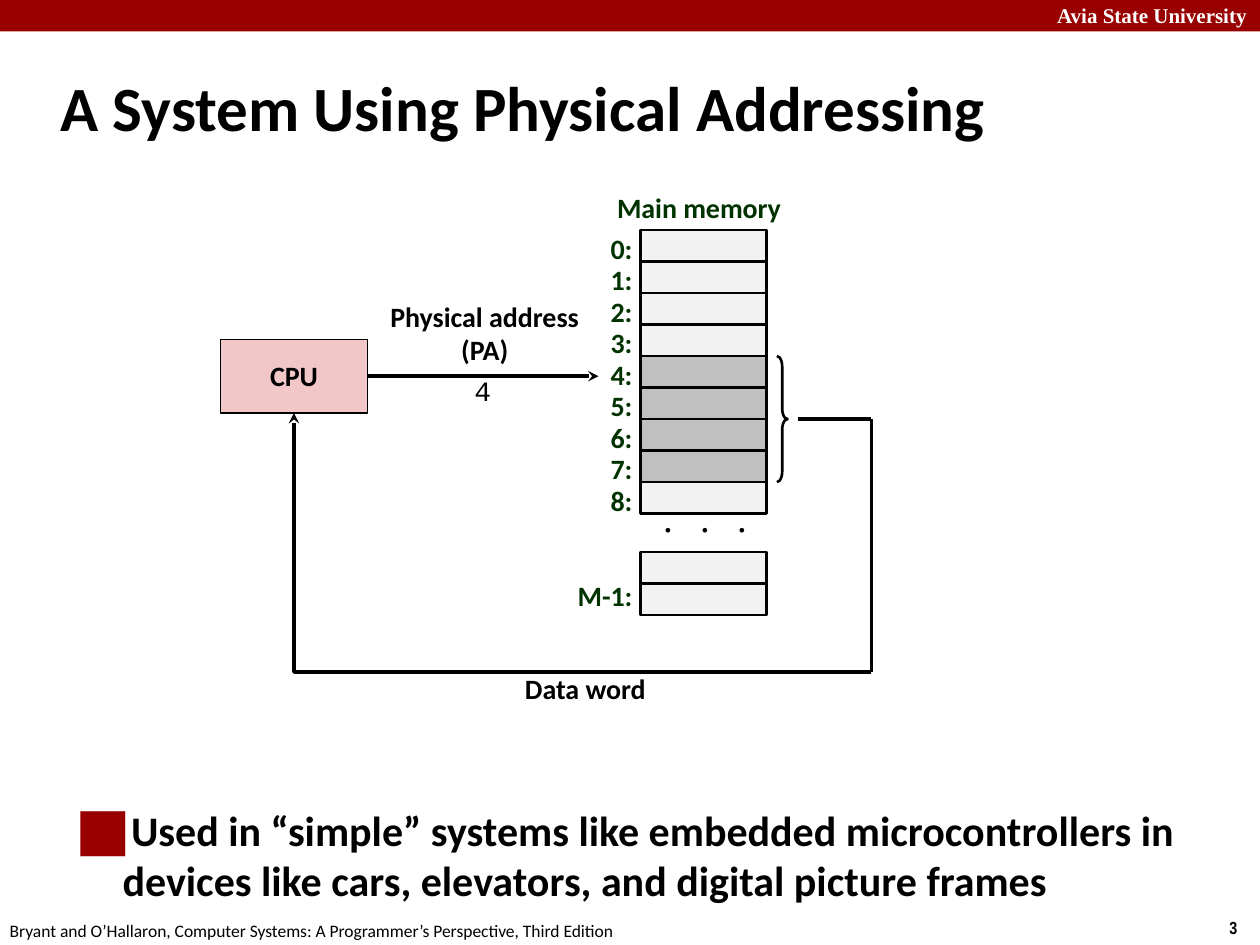
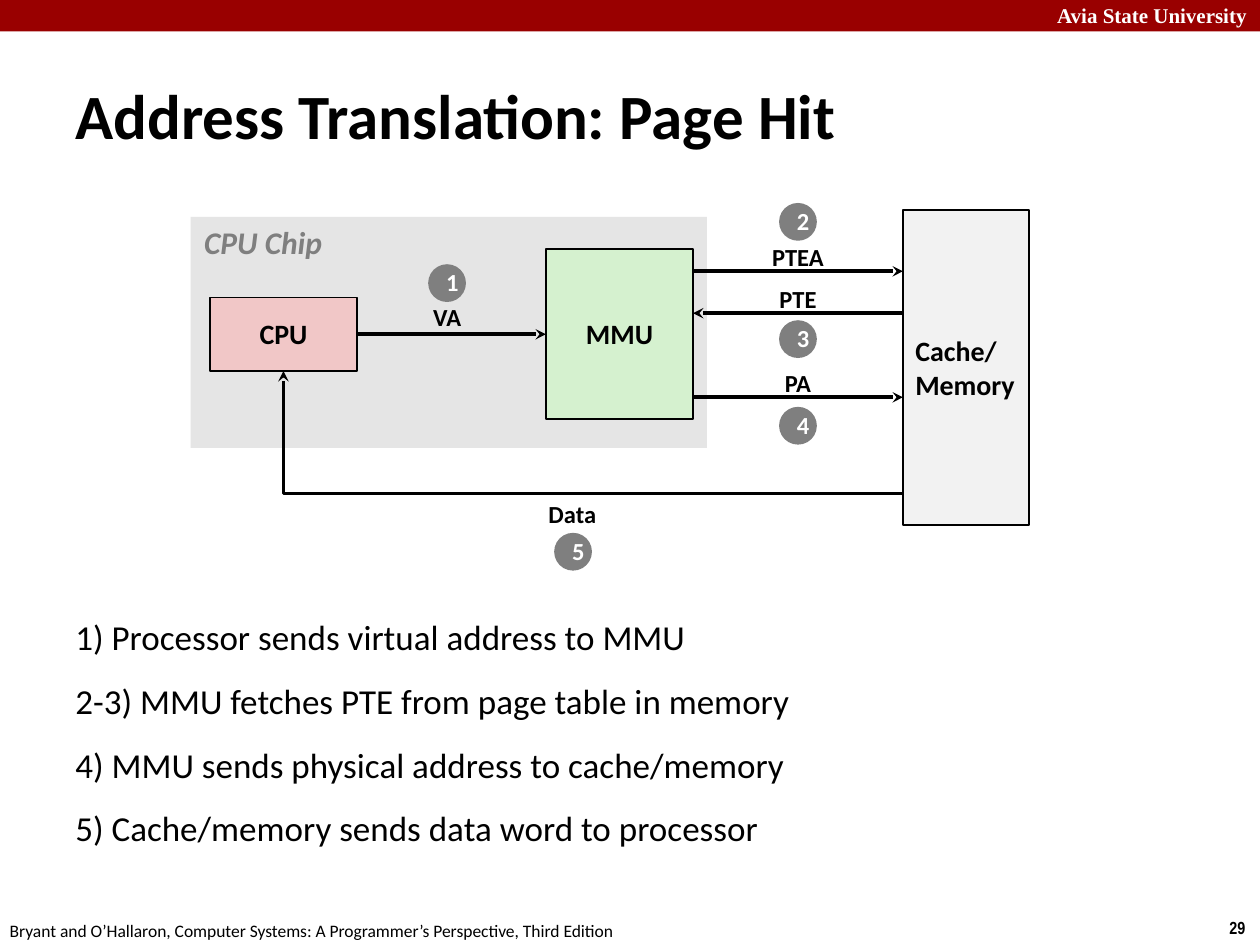
"""Build two slides on physical addressing and address translation."""
from dataclasses import dataclass

from lxml import etree
from pptx import Presentation
from pptx.dml.color import RGBColor
from pptx.enum.shapes import MSO_CONNECTOR, MSO_SHAPE
from pptx.enum.text import MSO_ANCHOR, PP_ALIGN
from pptx.oxml.ns import qn
from pptx.util import Pt

LEFT, CENTER, RIGHT = PP_ALIGN.LEFT, PP_ALIGN.CENTER, PP_ALIGN.RIGHT
TOP, MIDDLE = MSO_ANCHOR.TOP, MSO_ANCHOR.MIDDLE
RECTANGLE, OVAL, BRACE = MSO_SHAPE.RECTANGLE, MSO_SHAPE.OVAL, MSO_SHAPE.RIGHT_BRACE
STRAIGHT = MSO_CONNECTOR.STRAIGHT
BOTTOM_LEFT_TURN = "bentConnector2"


@dataclass(frozen=True)
class Theme:
    font: str = "Calibri"
    serif: str = "Times New Roman"
    narrow: str = "Arial Narrow"
    mono: str = "Courier New"
    black: str = "000000"
    white: str = "FFFFFF"
    red: str = "990000"
    green: str = "003300"
    gray: str = "7F7F7F"
    chip: str = "E5E5E5"
    cpu: str = "F1C7C7"
    mmu: str = "D5F1CF"
    cell: str = "F2F2F2"
    word: str = "C0C0C0"
    title: int = 36
    body: int = 24
    steps: int = 20
    chip_name: int = 18
    label: int = 16
    signal: int = 14
    header: int = 12
    footer: int = 10
    line: float = 2
    border: float = 1.5
    thin: float = 1
    tight: float = 0.88
    close: float = 0.98


THEME = Theme()


def write(shape, text, size=THEME.label, color=THEME.black, font=THEME.font, bold=True,
          italic=False, align=LEFT, anchor=TOP, spacing=None, before=0, bullet=None):
    """Fill a shape with text, one paragraph per line."""
    frame = shape.text_frame
    frame.word_wrap = True
    frame.vertical_anchor = anchor
    for index, line in enumerate(text.split("\n")):
        paragraph = frame.add_paragraph() if index else frame.paragraphs[0]
        paragraph.alignment = align
        if spacing:
            paragraph.line_spacing = spacing
        if index and before:
            paragraph.space_before = Pt(before)
        if bullet:
            add_bullet(paragraph, bullet)
        run = paragraph.add_run()
        run.text = line
        run.font.name, run.font.size = font, Pt(size)
        run.font.bold, run.font.italic = bold, italic
        run.font.color.rgb = RGBColor.from_string(color)


def add_bullet(paragraph, character, indent=27):
    """Give a paragraph a large red bullet and a hanging indent."""
    properties = paragraph._p.get_or_add_pPr()
    properties.set("marL", str(Pt(indent)))
    properties.set("indent", str(-Pt(indent)))
    color = etree.SubElement(properties, qn("a:buClr"))
    etree.SubElement(color, qn("a:srgbClr"), val=THEME.red)
    etree.SubElement(properties, qn("a:buSzPct"), val="140000")
    etree.SubElement(properties, qn("a:buFont"), typeface=THEME.font)
    etree.SubElement(properties, qn("a:buChar"), char=character)


class Deck:
    """Hold the presentation, its theme and the current slide."""

    def __init__(self):
        self.presentation = Presentation()
        self.presentation.slide_width = Pt(720)
        self.presentation.slide_height = Pt(540)
        self.slide = None

    def start(self, title, number, left, top):
        """Add a slide with band, footer, page number and title."""
        self.slide = self.presentation.slides.add_slide(self.presentation.slide_layouts[6])
        self.shape(RECTANGLE, 0, 0, 720, 18, THEME.red)
        self.text("Avia State University", 597, -2, 123, 22, size=THEME.header,
                  font=THEME.serif, color=THEME.white)
        self.text(str(number), 695.5, 520.5, 24.5, 19.5, size=THEME.footer, font=THEME.narrow)
        self.text("Bryant and O’Hallaron, Computer Systems: A Programmer’s Perspective, "
                  "Third Edition", -1.5, 522, 380, 18, size=THEME.footer, bold=False)
        self.text(title, left, top, 684, 62, size=THEME.title, anchor=MIDDLE)

    def text(self, text, left, top, width, height, **style):
        """Add a text box."""
        box = self.slide.shapes.add_textbox(Pt(left), Pt(top), Pt(width), Pt(height))
        write(box, text, **style)
        return box

    def label(self, text, center, top, width, height, size=THEME.label):
        """Add a bold label centred on a vertical axis."""
        self.text(text, center - width / 2, top, width, height, size=size,
                  align=CENTER, anchor=MIDDLE, spacing=THEME.close)

    def shape(self, kind, left, top, width, height, fill=None, line=None):
        """Add a preset shape, with a black outline if a line width is given."""
        shape = self.slide.shapes.add_shape(kind, Pt(left), Pt(top), Pt(width), Pt(height))
        shape.shadow.inherit = False
        if fill:
            shape.fill.solid()
            shape.fill.fore_color.rgb = RGBColor.from_string(fill)
        else:
            shape.fill.background()
        if line:
            shape.line.width = Pt(line)
            shape.line.color.rgb = RGBColor.from_string(THEME.black)
        else:
            shape.line.fill.background()
        return shape

    def unit(self, name, left, top, height, fill):
        """Add a named processor block."""
        block = self.shape(RECTANGLE, left, top, 84, height, fill, THEME.thin)
        write(block, name, align=CENTER, anchor=MIDDLE, spacing=THEME.close)
        return block

    def cells(self, top, fills):
        """Stack memory cells downwards."""
        for index, fill in enumerate(fills):
            self.shape(RECTANGLE, 366, top + 18 * index, 72, 18, fill, THEME.border)

    def address(self, text, top):
        """Label a memory cell on its left."""
        self.text(text, 318.5, top, 50, 24, color=THEME.green, align=RIGHT,
                  spacing=THEME.tight)

    def badge(self, number, center, top):
        """Add a numbered step circle."""
        circle = self.shape(OVAL, center - 10.8, top, 21.6, 21.6, THEME.gray)
        write(circle, str(number), size=THEME.signal, color=THEME.white,
              align=CENTER, anchor=MIDDLE, spacing=THEME.close)

    def connect(self, x1, y1, x2, y2, arrow=True):
        """Add a straight connector."""
        connector = self.slide.shapes.add_connector(STRAIGHT, Pt(x1), Pt(y1), Pt(x2), Pt(y2))
        connector.line.width = Pt(THEME.line)
        connector.line.color.rgb = RGBColor.from_string(THEME.black)
        if arrow:
            etree.SubElement(connector.line._get_or_add_ln(), qn("a:tailEnd"), type="stealth")
        etree.SubElement(connector._element.spPr, qn("a:effectLst"))
        return connector

    def return_path(self, left, top, right, bottom):
        """Add an arrow from bottom right along the bottom and up the left."""
        properties = self.connect(left, top, right, bottom)._element.spPr
        properties.find(qn("a:xfrm")).set("rot", "10800000")
        properties.find(qn("a:prstGeom")).set("prst", BOTTOM_LEFT_TURN)


def physical_addressing(deck):
    """Draw a CPU that addresses main memory directly."""
    deck.start("A System Using Physical Addressing", 3, 27.5, 30)
    deck.text("Used in “simple” systems like embedded microcontrollers in devices like cars, "
              "elevators, and digital picture frames", 36, 456, 654.5, 69,
              size=THEME.body, bullet="■")
    deck.text("Main memory", 340, 108, 119, 24, color=THEME.green, align=CENTER,
              spacing=THEME.tight)
    deck.cells(131.5, [THEME.cell] * 4 + [THEME.word] * 4 + [THEME.cell])
    deck.cells(315.5, [THEME.cell] * 2)
    for index in range(9):
        deck.address(f"{index}:", 131 + 18 * index)
    deck.address("M-1:", 329.5)
    dots = deck.text("...", 399, 267, 18, 72, size=THEME.chip_name, align=CENTER,
                     anchor=MIDDLE, spacing=THEME.close)
    dots.rotation = 90
    cpu = deck.unit("CPU", 126, 194, 42, THEME.cpu)
    deck.label("Physical address\n(PA)", 277, 168.5, 130, 45)
    deck.text("4", 264, 210, 25, 27, font=THEME.mono, bold=False)
    deck.connect(210, 215, 342, 215).begin_connect(cpu, 3)
    brace = deck.shape(BRACE, 444, 203.5, 6, 72, line=THEME.border)
    brace.adjustments[0] = 1
    deck.connect(456, 239.5, 498, 239.5, arrow=False)
    deck.connect(498, 239.5, 498, 384, arrow=False)
    deck.return_path(168, 236, 498, 384)
    deck.label("Data word", 334.5, 380.5, 90, 27)


def page_hit(deck):
    """Draw the five steps of a page hit."""
    deck.start("Address Translation: Page Hit", 29, 36, 34.5)
    deck.shape(RECTANGLE, 109, 124, 295, 132, THEME.chip)
    deck.text("CPU Chip", 109.5, 124, 90, 29, size=THEME.chip_name, color=THEME.gray,
              italic=True)
    cpu = deck.unit("CPU", 120, 170, 42, THEME.cpu)
    mmu = deck.unit("MMU", 312, 142.5, 97, THEME.mmu)
    memory = deck.shape(RECTANGLE, 516, 120, 72, 180, THEME.cell, THEME.border)
    write(memory, "Cache/\nMemory", anchor=MIDDLE)

    virtual = deck.connect(204, 191, 312, 191)
    virtual.begin_connect(cpu, 3)
    virtual.end_connect(mmu, 1)
    for start, end, y in ((396, 516, 155), (516, 396, 179), (396, 516, 227)):
        deck.connect(start, y, end, y)
    deck.return_path(162, 212, 516, 282)

    for name, center, top in (("VA", 255.5, 169.5), ("PTEA", 456, 135.5), ("PTE", 456, 159.5),
                              ("PA", 456, 207.5), ("Data", 327, 282)):
        deck.label(name, center, top, 60, 24, THEME.signal)
    badges = ((255.5, 151), (456, 116), (456, 183), (456, 232.5), (327.5, 304.5))
    for number, (center, top) in enumerate(badges, 1):
        deck.badge(number, center, top)

    deck.text("1) Processor sends virtual address to MMU\n"
              "2-3) MMU fetches PTE from page table in memory\n"
              "4) MMU sends physical address to cache/memory\n"
              "5) Cache/memory sends data word to processor",
              36, 348, 534, 162, size=THEME.steps, bold=False, before=12.5)


def main():
    """Build and save the presentation."""
    deck = Deck()
    physical_addressing(deck)
    page_hit(deck)
    deck.presentation.save("out.pptx")


if __name__ == "__main__":
    main()
